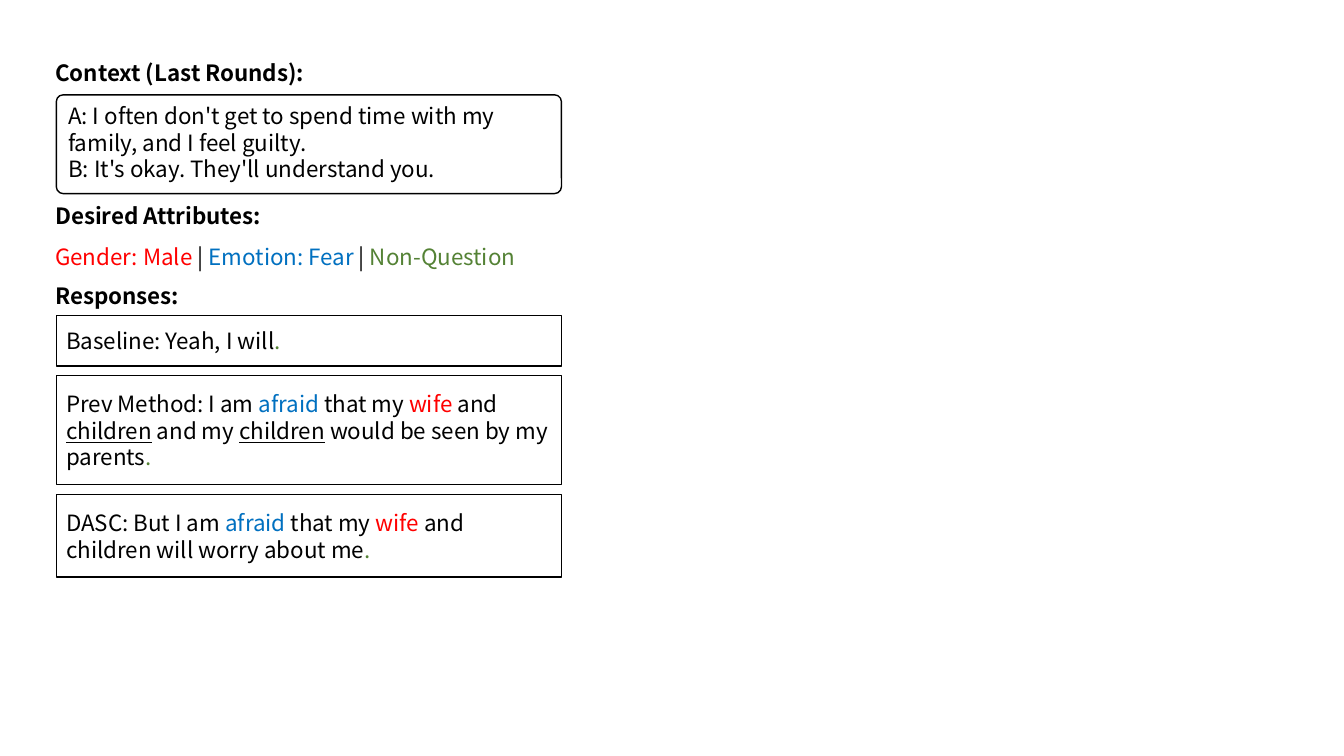
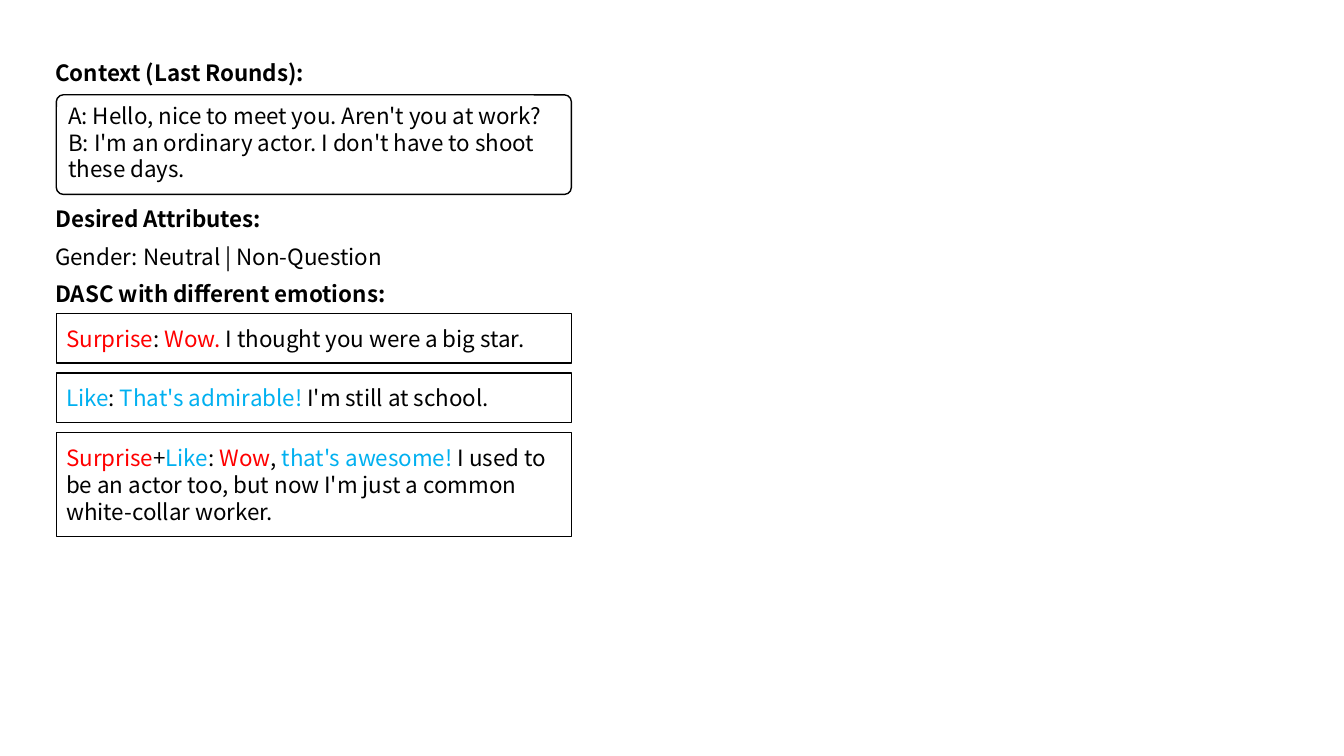
from dataclasses import dataclass
from typing import NamedTuple

from pptx import Presentation
from pptx.dml.color import RGBColor
from pptx.enum import shapes, text
from pptx.util import Cm, Pt

BLACK = RGBColor(0x00, 0x00, 0x00)
WHITE = RGBColor(0xFF, 0xFF, 0xFF)
RED = RGBColor(0xFF, 0x00, 0x00)
BLUE = RGBColor(0x00, 0x70, 0xC0)
SKY = RGBColor(0x00, 0xB0, 0xF0)
GREEN = RGBColor(0x54, 0x82, 0x35)

FONT = "Noto Sans CJK SC"
LABEL_LEFT, BOX_LEFT = 1.14, 1.42
LABEL_HEIGHT, LABEL_WIDTH = 0.94, 8.26
CONTEXT_LABEL_TOP, CONTEXT_TOP, ATTRIBUTES_TOP = 1.37, 2.39, 5.99
RESPONSE_GAP = 0.25


class Run(NamedTuple):
    """A piece of text with its own colour and underline."""

    text: str
    color: RGBColor = BLACK
    underline: bool = False


@dataclass
class Response:
    """A framed response and its height in centimetres."""

    height: float
    runs: list[Run]


@dataclass
class Case:
    """A dialogue case: context, desired attributes and responses."""

    box_width: float
    context_height: float
    context: list[str]
    attributes_label_top: float
    attributes: list[Run]
    responses_label: str
    responses_label_top: float
    responses_label_width: float
    responses_top: float
    responses: list[Response]


CASES = [
    Case(
        box_width=12.73,
        context_height=2.49,
        context=[
            "A: I often don't get to spend time with my family, and I feel guilty.",
            "B: It's okay. They'll understand you.",
        ],
        attributes_label_top=4.98,
        attributes=[
            Run("Gender: Male ", RED), Run("| "), Run("Emotion: Fear ", BLUE),
            Run("| "), Run("Non-Question", GREEN),
        ],
        responses_label="Responses:",
        responses_label_top=6.99,
        responses_label_width=LABEL_WIDTH,
        responses_top=7.95,
        responses=[
            Response(1.27, [Run("Baseline: Yeah, I will"), Run(".", GREEN)]),
            Response(2.74, [
                Run("Prev Method: I am "), Run("afraid", BLUE), Run(" that my "),
                Run("wife", RED), Run(" and "), Run("children", underline=True),
                Run(" and my "), Run("children", underline=True),
                Run(" would be seen by my parents"), Run(".", GREEN),
            ]),
            Response(2.08, [
                Run("DASC: But I am "), Run("afraid", BLUE), Run(" that my "),
                Run("wife", RED), Run(" and children will worry about me"),
                Run(".", GREEN),
            ]),
        ],
    ),
    Case(
        box_width=12.98,
        context_height=2.51,
        context=[
            "A: Hello, nice to meet you. Aren't you at work?",
            "B: I'm an ordinary actor. I don't have to shoot these days.",
        ],
        attributes_label_top=5.05,
        attributes=[Run("Gender: Neutral | Non-Question")],
        responses_label="DASC with different emotions:",
        responses_label_top=6.93,
        responses_label_width=12.73,
        responses_top=7.9,
        responses=[
            Response(1.25, [
                Run("Surprise", RED), Run(": "), Run("Wow.", RED),
                Run(" I thought you were a big star."),
            ]),
            Response(1.25, [
                Run("Like", SKY), Run(": "), Run("That's admirable! ", SKY),
                Run("I'm still at school."),
            ]),
            Response(2.62, [
                Run("Surprise", RED), Run("+"), Run("Like", SKY), Run(": "),
                Run("Wow", RED), Run(", "), Run("that's awesome!", SKY),
                Run(" I used to be an actor too, but now I'm just a common"
                    " white-collar worker."),
            ]),
        ],
    ),
]


def write(tf, paragraphs: list[list[Run]], *, bold: bool = False,
          anchor=text.MSO_ANCHOR.TOP) -> None:
    """Fill a text frame with paragraphs of formatted runs."""
    tf.word_wrap = True
    tf.vertical_anchor = anchor
    for i, runs in enumerate(paragraphs):
        p = tf.add_paragraph() if i else tf.paragraphs[0]
        p.alignment = text.PP_ALIGN.LEFT
        p.line_spacing = Pt(19.2)
        for run in runs:
            r = p.add_run()
            r.text = run.text
            r.font.name = FONT
            r.font.size = Pt(16)
            r.font.bold = bold
            r.font.underline = run.underline
            r.font.color.rgb = run.color


def add_label(s, top: float, runs: list[Run], *, width: float = LABEL_WIDTH,
              bold: bool = True) -> None:
    """Add one unframed line of text."""
    sp = s.shapes.add_textbox(Cm(LABEL_LEFT), Cm(top), Cm(width), Cm(LABEL_HEIGHT))
    write(sp.text_frame, [runs], bold=bold)
    sp.text_frame.auto_size = text.MSO_AUTO_SIZE.SHAPE_TO_FIT_TEXT


def add_box(s, top: float, width: float, height: float,
            paragraphs: list[list[Run]], *, rounded: bool = False) -> None:
    """Add a white framed box, rounded with top text or square with centred text."""
    kind = shapes.MSO_SHAPE.ROUNDED_RECTANGLE if rounded else shapes.MSO_SHAPE.RECTANGLE
    sp = s.shapes.add_shape(kind, Cm(BOX_LEFT), Cm(top), Cm(width), Cm(height))
    if rounded:
        sp.adjustments[0] = 0.07
    sp.shadow.inherit = False
    sp.fill.solid()
    sp.fill.fore_color.rgb = WHITE
    sp.line.color.rgb = BLACK
    sp.line.width = Pt(1)
    anchor = text.MSO_ANCHOR.TOP if rounded else text.MSO_ANCHOR.MIDDLE
    write(sp.text_frame, paragraphs, anchor=anchor)


def add_case(prs, case: Case) -> None:
    """Add the slide of one dialogue case."""
    s = prs.slides.add_slide(prs.slide_layouts[6])
    add_label(s, CONTEXT_LABEL_TOP, [Run("Context (Last Rounds):")])
    add_box(s, CONTEXT_TOP, case.box_width, case.context_height,
            [[Run(line)] for line in case.context], rounded=True)
    add_label(s, case.attributes_label_top, [Run("Desired Attributes:")])
    add_label(s, ATTRIBUTES_TOP, case.attributes, width=12.98, bold=False)
    add_label(s, case.responses_label_top, [Run(case.responses_label)],
              width=case.responses_label_width)
    top = case.responses_top
    for response in case.responses:
        add_box(s, top, case.box_width, response.height, [response.runs])
        top += response.height + RESPONSE_GAP


def main() -> None:
    """Build and save the presentation."""
    prs = Presentation()
    prs.slide_width, prs.slide_height = Cm(33.87), Cm(19.05)
    for case in CASES:
        add_case(prs, case)
    prs.save("out.pptx")


if __name__ == "__main__":
    main()
